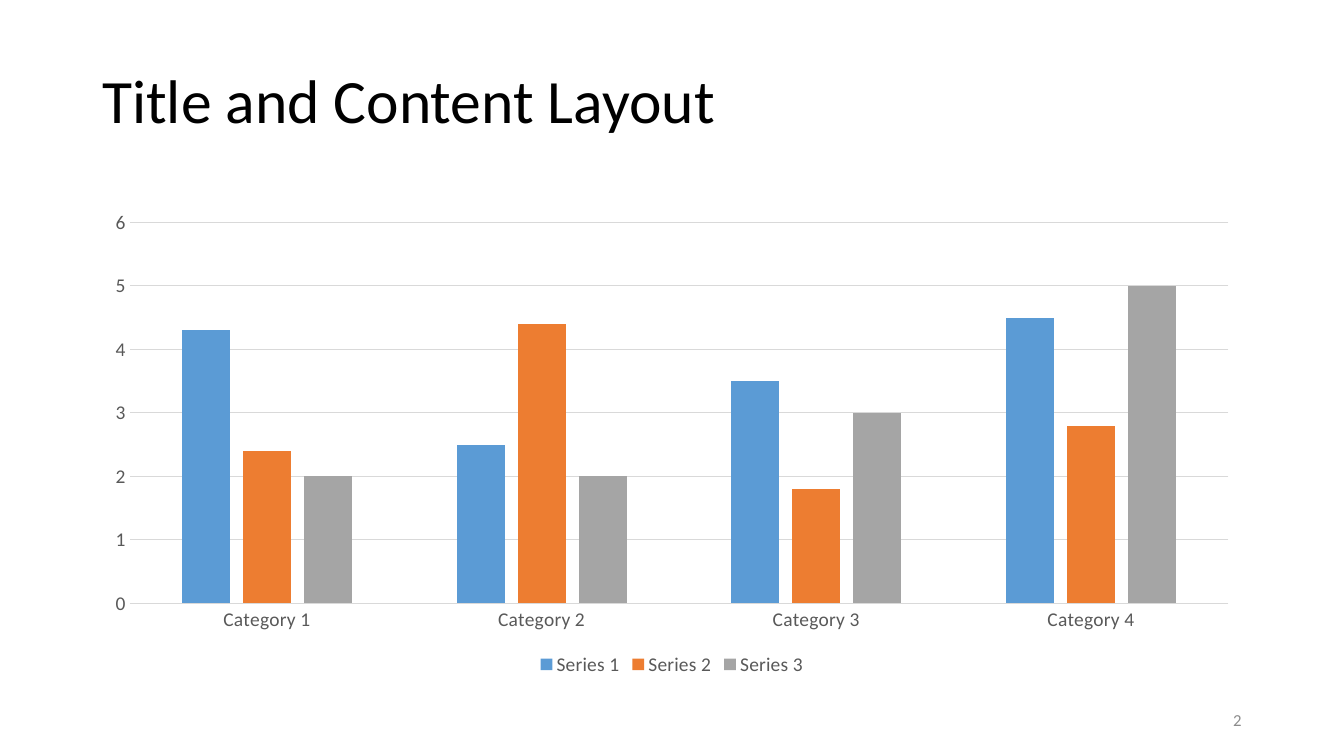
"""Build a slide with a title, a clustered column chart and a page number."""
from pptx import Presentation
from pptx.chart import data
from pptx.dml.color import RGBColor
from pptx.enum import chart as kinds, text
from pptx.util import Pt

BLACK = RGBColor(0x00, 0x00, 0x00)
LABEL_GREY = RGBColor(0x59, 0x59, 0x59)
NUMBER_GREY = RGBColor(0x8C, 0x8C, 0x8C)
LINE_GREY = RGBColor(0xD9, 0xD9, 0xD9)
BLUE = RGBColor(0x5B, 0x9B, 0xD5)
ORANGE = RGBColor(0xED, 0x7D, 0x31)
GREY = RGBColor(0xA5, 0xA5, 0xA5)

FONT = "Calibri"
LEFT, WIDTH = 66, 828
CATEGORIES = [f"Category {number}" for number in range(1, 5)]
SERIES = [
    ("Series 1", (4.3, 2.5, 3.5, 4.5), BLUE),
    ("Series 2", (2.4, 4.4, 1.8, 2.8), ORANGE),
    ("Series 3", (2, 2, 3, 5), GREY),
]


def set_all(target, values):
    """Set each named attribute of the target."""
    for name, value in values.items():
        setattr(target, name, value)


def style_font(font, size, color):
    """Give a font its face, size and colour."""
    set_all(font, {"name": FONT, "size": Pt(size), "bold": False})
    font.color.rgb = color


def style_line(line):
    """Make a chart line thin and light."""
    line.width = Pt(0.75)
    line.color.rgb = LINE_GREY


def add_text(page, words, place, size, color, align):
    """Add one line of text, centred vertically in its box."""
    box = page.shapes.add_textbox(*map(Pt, place))
    set_all(box.text_frame, {
        "word_wrap": True,
        "vertical_anchor": text.MSO_ANCHOR.MIDDLE,
    })
    para = box.text_frame.paragraphs[0]
    set_all(para, {"alignment": align, "line_spacing": 0.9})
    span = para.add_run()
    span.text = words
    style_font(span.font, size, color)


def style_axes(chart):
    """Style both axes and the gridlines."""
    for axis in (chart.category_axis, chart.value_axis):
        set_all(axis, {
            "major_tick_mark": kinds.XL_TICK_MARK.NONE,
            "minor_tick_mark": kinds.XL_TICK_MARK.NONE,
        })
        style_font(axis.tick_labels.font, 13.9, LABEL_GREY)
    style_line(chart.category_axis.format.line)
    set_all(chart.value_axis, {
        "minimum_scale": 0, "maximum_scale": 6, "major_unit": 1,
        "has_major_gridlines": True,
    })
    chart.value_axis.format.line.fill.background()
    style_line(chart.value_axis.major_gridlines.format.line)


def add_columns(page, place):
    """Add the column chart with its legend below."""
    chart_data = data.CategoryChartData()
    chart_data.categories = CATEGORIES
    for name, values, _ in SERIES:
        chart_data.add_series(name, values)
    chart = page.shapes.add_chart(
        kinds.XL_CHART_TYPE.COLUMN_CLUSTERED, *map(Pt, place), chart_data
    ).chart
    set_all(chart, {"has_title": False, "has_legend": True})
    style_font(chart.font, 10, BLACK)
    set_all(chart.legend, {
        "position": kinds.XL_LEGEND_POSITION.BOTTOM,
        "include_in_layout": False,
    })
    style_font(chart.legend.font, 13.9, LABEL_GREY)
    style_axes(chart)
    plot = chart.plots[0]
    set_all(plot, {"gap_width": 219, "overlap": -27, "vary_by_categories": False})
    for series, (_, _, color) in zip(plot.series, SERIES):
        series.format.fill.solid()
        series.format.fill.fore_color.rgb = color


def main():
    """Build and save the deck."""
    deck = Presentation()
    set_all(deck, {"slide_width": Pt(960), "slide_height": Pt(540)})
    page = deck.slides.add_slide(deck.slide_layouts[6])
    add_text(page, "Title and Content Layout", (LEFT, 21.6, WIDTH, 104.4),
             44, BLACK, text.PP_ALIGN.LEFT)
    add_columns(page, (LEFT, 143.5, WIDTH, 342.6))
    add_text(page, "2", (636, 500.5, 258, 28.8),
             12, NUMBER_GREY, text.PP_ALIGN.RIGHT)
    deck.save("out.pptx")


if __name__ == "__main__":
    main()
